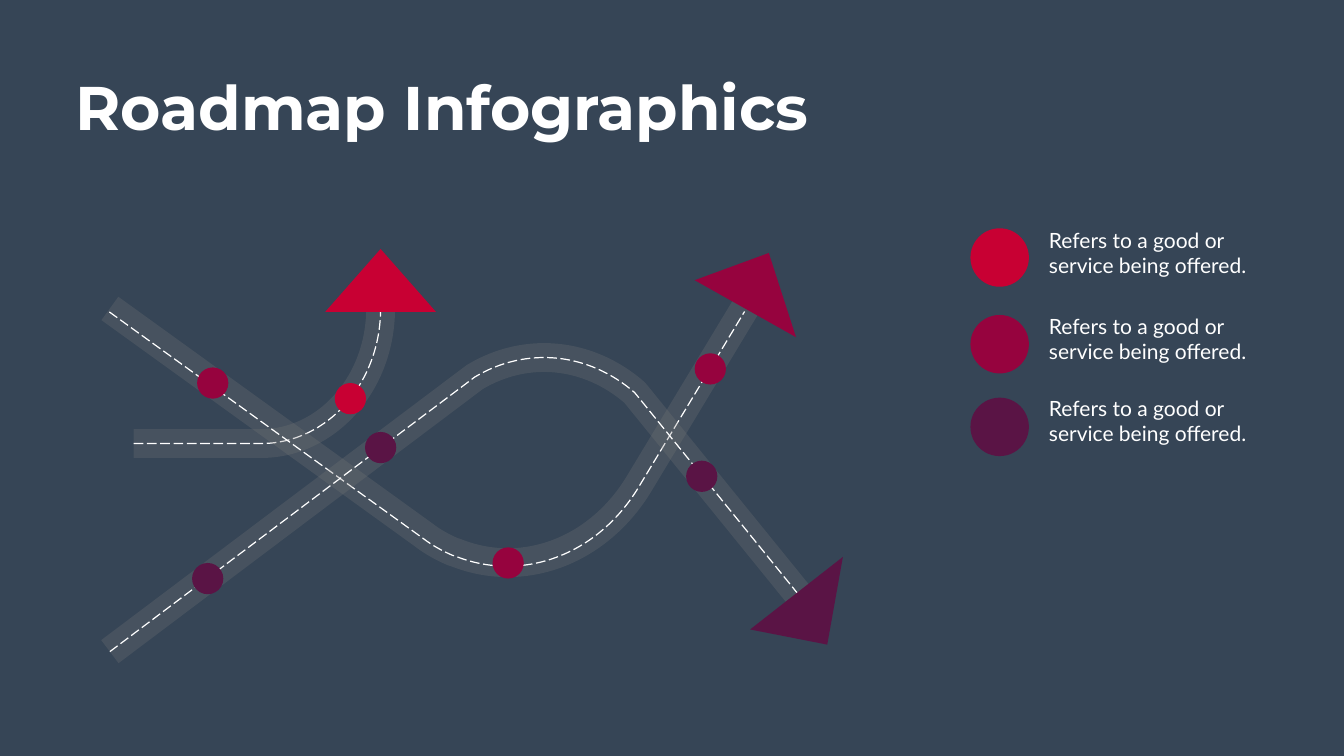
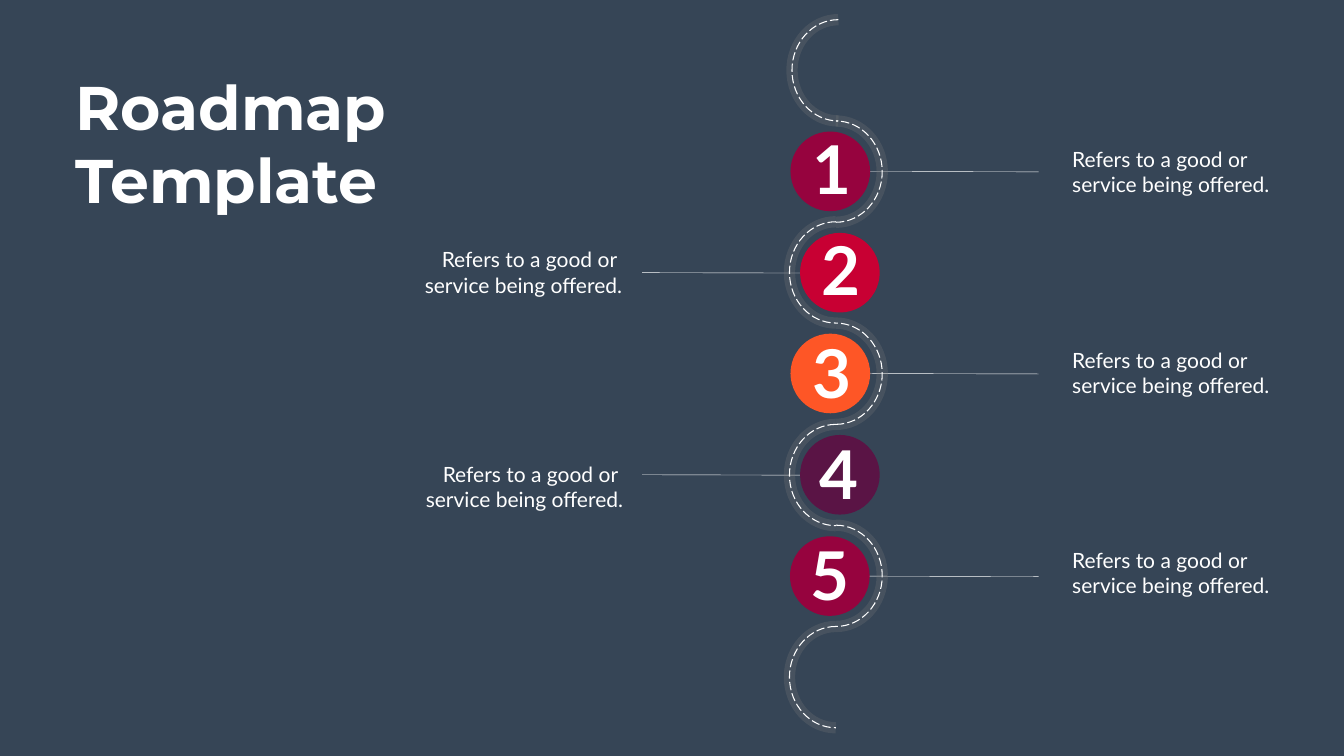
from lxml import etree
from pptx import Presentation
from pptx import util as u
from pptx.dml.color import RGBColor
from pptx.enum import dml, shapes, text
from pptx.oxml.ns import qn

PX = 9144  # 100 px to the inch
BACKGROUND = "364556"
WHITE = "FFFFFF"
ASPHALT = "797979"
RED, BERRY, PLUM, ORANGE = "C80033", "96033E", "5A1445", "FE5626"

# Each road is a start point followed by lines (x, y) and
# Bezier curves (control 1, control 2, end).
TURNING_ROAD = [(265, 880), (518, 880), (649, 880, 755, 760, 755, 612)]
RISING_ROAD = [
    (218, 612), (840, 1061), (858, 1075, 878, 1086, 899, 1095), (903, 1096),
    (1037, 1150, 1186, 1094, 1267, 961), (1478, 611),
]
FALLING_ROAD = [
    (218, 1293), (942, 748), (1044, 687, 1167, 699, 1259, 779), (1585, 1181),
]
ARROWS = [
    (RED, [(645, 619), (755, 494), (865, 619)]),
    (PLUM, [(1672, 1105), (1641, 1279), (1488, 1249)]),
    (BERRY, [(1378, 556), (1525, 502), (1579, 669)]),
]
STOPS = [
    (PLUM, [(381, 1117), (724, 857), (1361, 914)]),
    (BERRY, [(1378, 701), (977, 1086), (391, 729)]),
    (RED, [(664, 760)]),
]
# Colour, disc top, caption top
LEGEND = [(RED, 453, 446), (BERRY, 625, 617), (PLUM, 789, 780)]

# Colour, disc left, number left and top, caption left and top
STEPS = [
    (BERRY, 1568, (1601, 248), (2117, 285)),
    (RED, 1587, (1619, 449), (824, 485)),
    (ORANGE, 1568, (1601, 652), (2117, 684)),
    (PLUM, 1587, (1616, 853), (826, 910)),
    (BERRY, 1567, (1598, 1053), (2117, 1081)),
]
STEP_PITCH = 200.7
FIRST_STEP = 340
ROAD_TOP = 39
BENDS = 7
UPWARD_BENDS = (1, 3)


def colour(value):
    return RGBColor.from_string(value)


def pairs(piece):
    return list(zip(piece[::2], piece[1::2]))


def add_outline(parent, route, close):
    """Freeform of lines and true Bezier curves."""
    (x, y), *others = [(px * PX, py * PX) for piece in route for px, py in pairs(piece)]
    builder = parent.shapes.build_freeform(x, y)
    builder.add_line_segments(others, close=close)
    shape = builder.convert_to_shape()
    shape.shadow.inherit = False
    path = shape._element.spPr.find(f".//{qn('a:path')}")
    segments = iter(path.findall(qn("a:lnTo")))
    for piece in route[1:]:
        parts = [next(segments) for _ in pairs(piece)]
        if len(parts) == 3:
            curve = etree.Element(qn("a:cubicBezTo"))
            parts[0].addprevious(curve)
            for part in parts:
                curve.append(part[0])
                path.remove(part)
    return shape


def add_stroke(parent, route, stroke, width):
    shape = add_outline(parent, route, close=False)
    shape.fill.background()
    shape.line.color.rgb = colour(stroke)
    shape.line.width = u.Pt(width)
    return shape


def add_asphalt(parent, route, width):
    shape = add_stroke(parent, route, ASPHALT, width)
    rgb = shape._element.spPr.find(f"{qn('a:ln')}//{qn('a:srgbClr')}")
    etree.SubElement(rgb, qn("a:alpha"), val="25000")


def add_lane(parent, route, width):
    add_stroke(parent, route, WHITE, width).line.dash_style = dml.MSO_LINE.LONG_DASH


def fill_plain(shape, fill):
    shape.fill.solid()
    shape.fill.fore_color.rgb = colour(fill)
    shape.line.fill.background()


def add_arrowhead(slide, corners, fill):
    fill_plain(add_outline(slide, corners, close=True), fill)


def add_disc(slide, left, top, size, fill):
    box = [value * PX for value in (left, top, size, size)]
    shape = slide.shapes.add_shape(shapes.MSO_SHAPE.OVAL, *box)
    shape.shadow.inherit = False
    fill_plain(shape, fill)


def add_text(slide, box, lines, font, size, bold=False, wrap=False,
             align=text.PP_ALIGN.LEFT):
    frame = slide.shapes.add_textbox(*[value * PX for value in box]).text_frame
    frame.word_wrap = wrap
    frame.auto_size = text.MSO_AUTO_SIZE.SHAPE_TO_FIT_TEXT
    frame.text = "\n".join(lines)
    for paragraph in frame.paragraphs:
        paragraph.alignment = align
        paragraph.font.name = font
        paragraph.font.size = u.Pt(size)
        paragraph.font.bold = bold
        paragraph.font.color.rgb = colour(WHITE)


def add_title(slide, lines, width, height):
    add_text(slide, (140, 131, width, height), lines, "Montserrat", 88, bold=True)


def add_caption(slide, left, top, right_aligned=False):
    align = text.PP_ALIGN.RIGHT if right_aligned else text.PP_ALIGN.LEFT
    first = "Refers to a good or " if right_aligned else "Refers to a good or"
    add_text(slide, (left, top, 420, 111), [first, "service being offered."],
             "Lato", 30, wrap=True, align=align)


def add_leader(slide, left, y):
    line = slide.shapes.add_connector(
        shapes.MSO_CONNECTOR.STRAIGHT,
        left * PX, y * PX, (left + 408) * PX, (y + 1) * PX)
    line.line.color.rgb = colour(WHITE)
    line.line.width = u.Pt(0.57)
    etree.SubElement(line._element.spPr, qn("a:effectLst"))


def shift(route, dx, dy):
    return [tuple(v + (dy if i % 2 else dx) for i, v in enumerate(piece))
            for piece in route]


def bend(index):
    """Half an ellipse, bulging left on even bends and right on odd ones."""
    side = 1 if index % 2 else -1
    x = 1658 if index else 1663
    start = round(ROAD_TOP + index * STEP_PITCH)
    end = start + 201
    if index in UPWARD_BENDS:
        start, end = end, start
    middle = (start + end) / 2
    pull = (end - start) * 0.275
    near, far = x + side * 51, x + side * 92
    return [(x, start),
            (near, start, far, middle - pull, far, middle),
            (far, middle + pull, near, end, x, end)]


def add_crossroads_slide(presentation):
    slide = presentation.slides.add_slide(presentation.slide_layouts[6])
    for route, lane in [
        (TURNING_ROAD, TURNING_ROAD),
        (RISING_ROAD, shift(RISING_ROAD, -1, 7)),
        (FALLING_ROAD, FALLING_ROAD),
    ]:
        add_asphalt(slide, route, 41.25)
        add_lane(slide, lane, 1.73)
    for fill, corners in ARROWS:
        add_arrowhead(slide, corners, fill)
    for fill, places in STOPS:
        for left, top in places:
            add_disc(slide, left, top, 62, fill)
    add_title(slide, ["Roadmap Infographics"], 1475, 158)
    for fill, top, caption_top in LEGEND:
        add_disc(slide, 1925, top, 116, fill)
        add_caption(slide, 2071, caption_top)


def add_winding_slide(presentation):
    slide = presentation.slides.add_slide(presentation.slide_layouts[6])
    centres = [round(FIRST_STEP + i * STEP_PITCH) for i in range(len(STEPS))]
    for i, y in enumerate(centres):
        add_leader(slide, 1274 if i % 2 else 1652, y)
    for add_layer, width in ((add_asphalt, 16.19), (add_lane, 1.5)):
        layer = slide.shapes.add_group_shape()
        for i in range(BENDS):
            add_layer(layer, bend(i), width)
    add_title(slide, ["Roadmap", "Template"], 639, 306)
    for i, (fill, left, number_place, caption_place) in enumerate(STEPS):
        add_disc(slide, left, centres[i] - 79, 158, fill)
        add_text(slide, (*number_place, 98, 172), [str(i + 1)], "Lato", 96, bold=True)
        add_caption(slide, *caption_place, right_aligned=i % 2 == 1)


def main():
    presentation = Presentation()
    presentation.slide_width = 2666 * PX
    presentation.slide_height = 1500 * PX
    backdrop = presentation.slide_master.background.fill
    backdrop.solid()
    backdrop.fore_color.rgb = colour(BACKGROUND)
    add_crossroads_slide(presentation)
    add_winding_slide(presentation)
    presentation.save("out.pptx")


if __name__ == "__main__":
    main()
